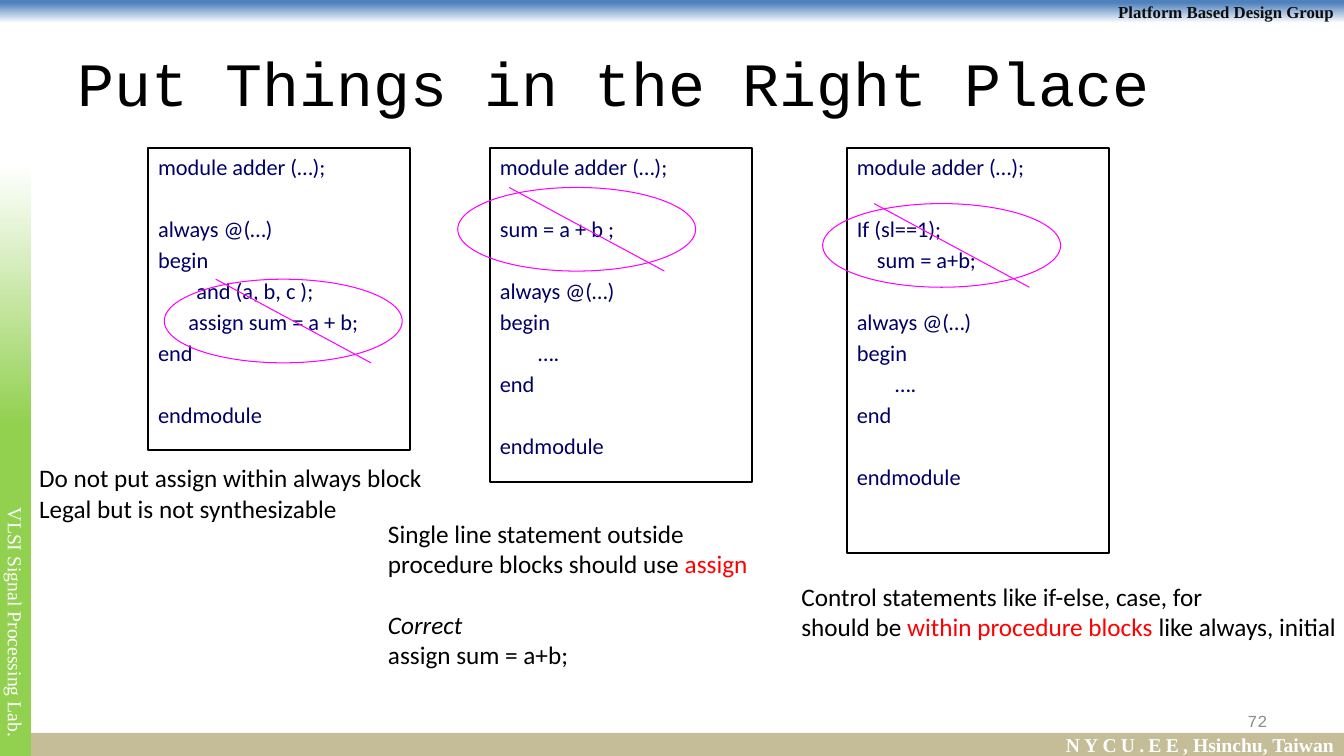
import pptx
import pptx.util
import pptx.dml.color
import pptx.enum.shapes
import pptx.enum.text
from dataclasses import dataclass
from lxml import etree

Inches = pptx.util.Inches
Pt = pptx.util.Pt
Kind = pptx.enum.shapes.MSO_SHAPE
Align = pptx.enum.text.PP_ALIGN
Anchor = pptx.enum.text.MSO_ANCHOR


@dataclass(frozen=True)
class Theme:
    sans: str = "Calibri"
    mono: str = "Courier New"
    serif: str = "Times New Roman"
    title: int = 44
    note: int = 18
    code: int = 16
    foot: int = 14
    small: int = 12
    black: str = "000000"
    ink: str = "0D0D0D"
    white: str = "FFFFFF"
    navy: str = "000066"
    red: str = "FF0000"
    pink: str = "FF00FF"
    gray: str = "8C8C8C"
    blue: str = "4F81BD"
    green: str = "92D050"
    tan: str = "C4BD97"


theme = Theme()
rgb = pptx.dml.color.RGBColor.from_string

deck = pptx.Presentation()
deck.slide_width = Inches(13.33)
deck.slide_height = Inches(7.5)
slide = deck.slides.add_slide(deck.slide_layouts[6])
shapes = slide.shapes


def add_run(para, text, font, size, color, bold=False, italic=False):
    run = para.add_run()
    run.text = text
    run.font.name = font
    run.font.size = Pt(size)
    run.font.color.rgb = rgb(color)
    run.font.bold = bold
    run.font.italic = italic
    return run


def add_form(kind, left, top, width, height, line=None, weight=0.75):
    """Add an unfilled preset shape, outlined only if a line colour is given."""
    form = shapes.add_shape(kind, Inches(left), Inches(top), Inches(width), Inches(height))
    form.shadow.inherit = False
    form.fill.background()
    if line:
        form.line.color.rgb = rgb(line)
        form.line.width = Pt(weight)
    else:
        form.line.fill.background()
    return form


# Bars: place, gradient or plain fill, alignment
bars = []
for place, stops, angle, align in [
    ((0, 0, 13.33, 0.23), [(0.12, theme.blue), (1, theme.white)], 270, Align.RIGHT),
    ((0, 7.27, 13.33, 0.23), [(0, theme.tan)], None, Align.RIGHT),
    ((0, 1.64, 0.31, 5.86), [(0.56, theme.green), (1, theme.white)], 90, Align.CENTER),
]:
    bar = add_form(Kind.RECTANGLE, *place)
    if angle is None:
        bar.fill.solid()
        bar.fill.fore_color.rgb = rgb(stops[0][1])
    else:
        bar.fill.gradient()
        bar.fill.gradient_angle = angle
        for stop, (pos, color) in zip(bar.fill.gradient_stops, stops):
            stop.position = pos
            stop.color.rgb = rgb(color)
    bar.text_frame.vertical_anchor = Anchor.MIDDLE
    bar.text_frame.paragraphs[0].alignment = align
    bars.append(bar.text_frame)

head, foot, side = bars
add_run(head.paragraphs[0], "Platform Based Design Group", theme.serif, theme.small, theme.ink, True)
school = add_run(foot.paragraphs[0], "NYCU.EE", theme.serif, theme.foot, theme.white, True)
school.font._element.set("spc", "300")
add_run(foot.paragraphs[0], ", Hsinchu, Taiwan", theme.serif, theme.foot, theme.white, True)
side.margin_top = Inches(3.31)
side._txBody.bodyPr.set("vert", "vert")
add_run(side.paragraphs[0], "VLSI Signal Processing Lab.", theme.serif, theme.foot, theme.white)

# Title and page number
for place, text, size, color, align in [
    ((0.67, 0.3, 12, 1.03), "Put Things in the Right Place", theme.title, theme.black, Align.LEFT),
    ((9.56, 6.95, 3.11, 0.4), "72", theme.small, theme.gray, Align.RIGHT),
]:
    frame = shapes.add_textbox(*[Inches(n) for n in place]).text_frame
    frame.word_wrap = True
    frame.vertical_anchor = Anchor.MIDDLE
    frame.paragraphs[0].alignment = align
    add_run(frame.paragraphs[0], text, theme.mono, size, color)

# Code lines are (text, indent, gap above in lines); notes are (gap, runs)
first = ("module adder (…);", 0, 0)
tail = [("always @(…)", 0, 1), ("begin", 0, 0), ("….", 0.38, 0), ("end", 0, 0), ("endmodule", 0, 1)]
cases = [
    dict(
        left=1.47, height=2.99, oval=(1.63, 2.77),
        code=[first, *tail[:2], ("and (a, b, c );", 0.38, 0),
              ("assign sum = a + b;", 0.3, 0), *tail[3:]],
        place=(0.29, 4.54, 4.04, 0.71), wrap=False,
        note=[(0, [("Do not put assign within always block", theme.black, False)]),
              (0, [("Legal but is not synthesizable", theme.black, False)])],
    ),
    dict(
        left=4.86, height=3.31, oval=(4.54, 1.86),
        code=[first, ("sum = a + b ;", 0, 1), *tail],
        place=(3.75, 5.09, 4.17, 1.62), wrap=True,
        note=[(0, [("Single line statement outside procedure blocks should use ", theme.black, False),
                   ("assign", theme.red, False)]),
              (1, [("Correct", theme.black, True)]),
              (0, [("assign sum = a+b;", theme.black, False)])],
    ),
    dict(
        left=8.4, height=4.02, oval=(8.16, 2.02),
        code=[first, ("If (sl==1);", 0, 1), ("sum = a+b;", 0.2, 0), *tail],
        place=(7.85, 5.72, 5.57, 0.71), wrap=False,
        note=[(0, [("Control statements like if-else, case, for", theme.black, False)]),
              (0, [("should be ", theme.black, False),
                   ("within procedure blocks ", theme.red, False),
                   ("like always, initial", theme.black, False)])],
    ),
]

for case in cases:
    box = add_form(Kind.RECTANGLE, case["left"], 1.47, 2.6, case["height"], theme.black, 1.5)
    frame = box.text_frame
    frame.vertical_anchor = Anchor.TOP
    for i, (text, indent, gap) in enumerate(case["code"]):
        para = frame.add_paragraph() if i else frame.paragraphs[0]
        para.alignment = Align.LEFT
        para.space_before = Pt(2.85 + 22.35 * gap if i else 0)
        para._p.get_or_add_pPr().set("marL", str(Inches(indent)))
        add_run(para, text, theme.sans, theme.code, theme.navy)

    x, y = case["oval"]
    add_form(Kind.OVAL, x, y, 2.36, 0.83, theme.pink)
    slash = shapes.add_connector(
        pptx.enum.shapes.MSO_CONNECTOR.STRAIGHT,
        Inches(x + 0.51), Inches(y), Inches(x + 2.05), Inches(y + 0.83))
    slash.line.color.rgb = rgb(theme.pink)
    slash.line.width = Pt(0.75)
    etree.SubElement(slash._element.spPr, pptx.oxml.ns.qn("a:effectLst"))

    frame = shapes.add_textbox(*[Inches(n) for n in case["place"]]).text_frame
    frame.word_wrap = case["wrap"]
    for i, (gap, runs) in enumerate(case["note"]):
        para = frame.add_paragraph() if i else frame.paragraphs[0]
        para.space_before = Pt(22 * gap)
        for text, color, italic in runs:
            add_run(para, text, theme.sans, theme.note, color, italic=italic)

deck.save("out.pptx")
